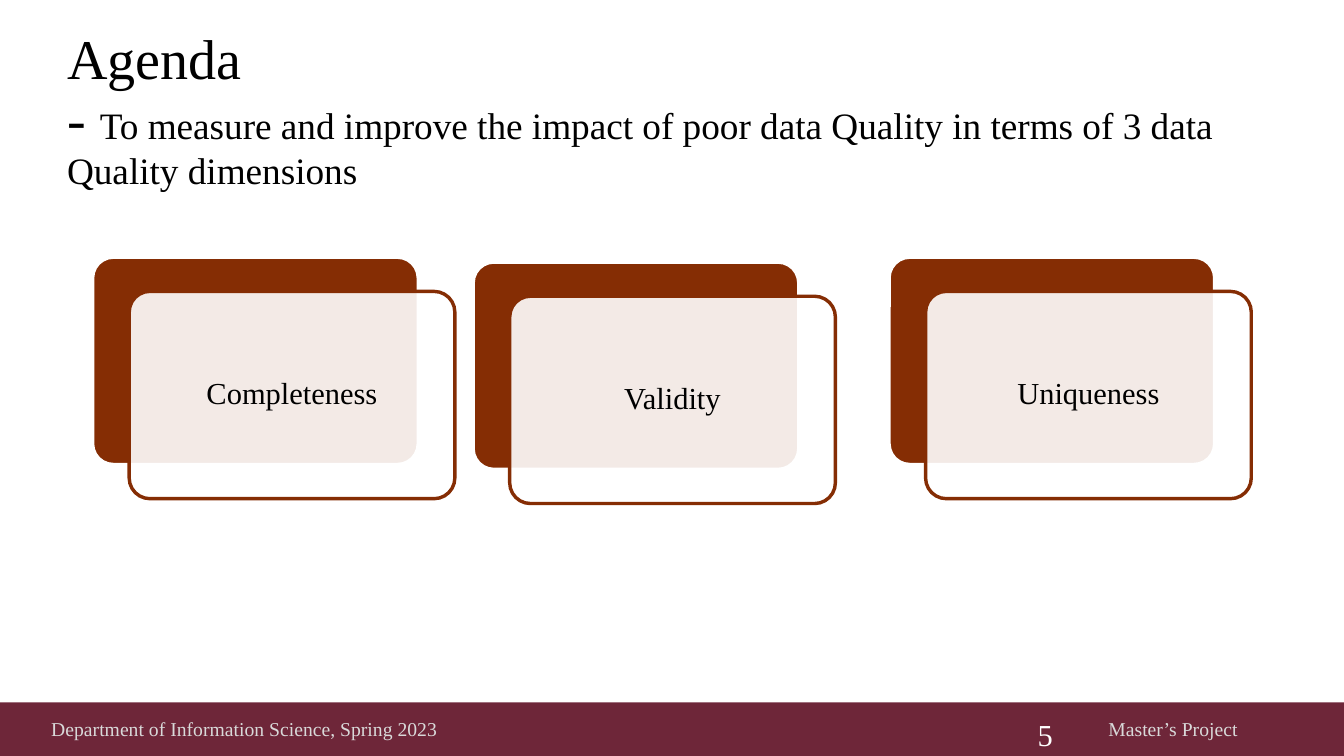
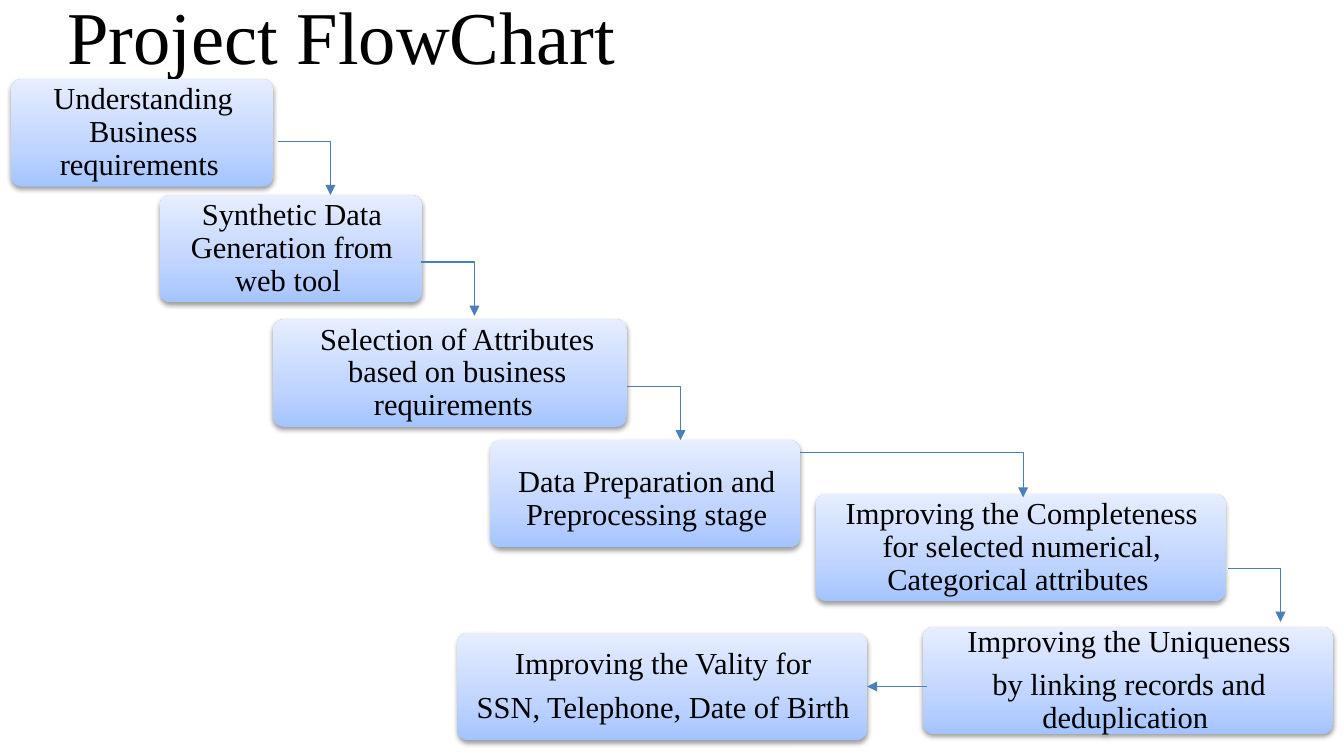
from lxml import etree
from pptx import Presentation
from pptx.dml.color import RGBColor
from pptx.enum.shapes import MSO_CONNECTOR, MSO_SHAPE
from pptx.enum.text import MSO_ANCHOR, PP_ALIGN
from pptx.oxml.ns import qn
from pptx.util import Inches, Pt

ELBOW, STRAIGHT = MSO_CONNECTOR.ELBOW, MSO_CONNECTOR.STRAIGHT
RECTANGLE, ROUNDED = MSO_SHAPE.RECTANGLE, MSO_SHAPE.ROUNDED_RECTANGLE
MIDDLE, TOP = MSO_ANCHOR.MIDDLE, MSO_ANCHOR.TOP
CENTER = PP_ALIGN.CENTER

FONT = "Times New Roman"
COLORS = {
    "white": "FFFFFF",
    "text": "000000",
    "band": "6E2639",
    "footer": "D9D9D9",
    "card": "852D04",
    "arrow": "4B7EBC",
    "shadow": "000000",
    "step bottom": "A4C4FF",
    "step middle": "BFD4FF",
    "step top": "E6EEFF",
}
STEP_STOPS = [(0, "step bottom"), (35, "step middle"), (100, "step top")]
SLIDE_WIDTH, SLIDE_HEIGHT = 11.02, 6.2
BAND_TOP, BAND_HEIGHT = 5.76, 0.44
CARD_WIDTH, CARD_HEIGHT = 2.67, 1.7
CARD_SHIFT_X, CARD_SHIFT_Y = 0.3, 0.28
STEP_HEIGHT = 0.88
STEP_INSETS = (0.1, 0.07, 0.08, 0.07)

CARDS = [("Completeness", 0.76, 2.11), ("Validity", 3.88, 2.15), ("Uniqueness", 7.29, 2.11)]

# Lines, left, top, width, text insets
STEPS = [
    (["Understanding Business requirements "], 0.09, 0.65, 2.15, STEP_INSETS),
    (["Synthetic Data Generation from web tool "], 1.31, 1.6, 2.15, STEP_INSETS),
    (["Selection of Attributes based on business requirements "],
     2.24, 2.62, 2.9, (0.18, 0.07, 0.06, 0.07)),
    (["Data Preparation and Preprocessing stage"],
     4.02, 3.61, 2.54, (0.1, 0.15, 0.07, 0.07)),
    (["Improving the Completeness for selected numerical, Categorical attributes "],
     6.69, 4.05, 3.36, STEP_INSETS),
    (["Improving the Uniqueness", "by linking records and deduplication "],
     7.57, 5.14, 3.36, STEP_INSETS),
    (["Improving the Vality for", "SSN, Telephone, Date of Birth"],
     3.75, 5.19, 3.36, STEP_INSETS),
]

# Kind, start, end
ARROWS = [
    (ELBOW, (2.28, 1.16), (2.71, 1.6)),
    (ELBOW, (3.45, 2.15), (3.89, 2.59)),
    (ELBOW, (5.14, 3.17), (5.58, 3.61)),
    (ELBOW, (6.56, 3.71), (8.39, 4.08)),
    (ELBOW, (10.07, 4.66), (10.5, 5.1)),
    (STRAIGHT, (7.6, 5.63), (7.11, 5.63)),
]


def rgb(name):
    return RGBColor.from_string(COLORS[name])


def add_xml(parent, tag, **attributes):
    values = {key: str(value) for key, value in attributes.items()}
    return etree.SubElement(parent, qn(tag), values)


def set_font(target, size, color="text"):
    target.font.name = FONT
    target.font.size = Pt(size)
    target.font.color.rgb = rgb(color)


def set_frame(shape, anchor, insets):
    """Wrap the text; insets run left, top, right, bottom."""
    frame = shape.text_frame
    frame.word_wrap = True
    frame.vertical_anchor = anchor
    frame.margin_left, frame.margin_top, frame.margin_right, frame.margin_bottom = map(
        Inches, insets)
    return frame


def add_box(slide, kind, left, top, width, height, fill=None, line=None):
    box = slide.shapes.add_shape(
        kind, Inches(left), Inches(top), Inches(width), Inches(height))
    box.shadow.inherit = False
    if kind == ROUNDED:
        box.adjustments[0] = 0.1
    if fill:
        box.fill.solid()
        box.fill.fore_color.rgb = rgb(fill)
    if line:
        box.line.color.rgb = rgb(line)
        box.line.width = Pt(2)
    else:
        box.line.fill.background()
    return box


def add_text(slide, left, top, width, height, anchor=TOP, insets=(0.1, 0.05, 0.1, 0.05)):
    """Add an empty text box and return its first paragraph."""
    box = slide.shapes.add_textbox(
        Inches(left), Inches(top), Inches(width), Inches(height))
    return set_frame(box, anchor, insets).paragraphs[0]


def add_title(slide, top, height, size, title, subtitle=None):
    para = add_text(slide, 0.55, top, 9.92, height, MIDDLE, (0, 0, 0, 0))
    para.line_spacing = 0.9
    set_font(para.add_run(), size)
    para.runs[0].text = title
    if subtitle:
        para.add_line_break()
        for text, span_size in (("- ", size), (subtitle, 22)):
            span = para.add_run()
            span.text = text
            set_font(span, span_size)


def write_centered(box, lines, insets):
    frame = set_frame(box, MIDDLE, insets)
    frame.text = "\n".join(lines)
    for para in frame.paragraphs:
        para.alignment = CENTER
        para.line_spacing = 0.9
        para.space_after = Pt(6.3)
        set_font(para, 18)


def add_footer(slide, number):
    band = add_box(slide, RECTANGLE, 0, BAND_TOP, SLIDE_WIDTH, BAND_HEIGHT, "band")
    para = set_frame(band, MIDDLE, (0.42, 0.05, 0.1, 0.05)).paragraphs[0]
    para.text = "Department of Information Science, Spring 2023"
    para.alignment = PP_ALIGN.LEFT
    set_font(para, 11.6, "footer")
    para = add_text(slide, 8.99, BAND_TOP, 1.9, BAND_HEIGHT, MIDDLE)
    para.text = "Master’s Project"
    set_font(para, 11.6, "footer")
    para = add_text(slide, 8.41, 5.82, 0.5, 0.33)
    para.text = number
    set_font(para, 18, "white")


def add_card(slide, label, left, top):
    """Add a solid card with a translucent labelled card shifted over it."""
    add_box(slide, ROUNDED, left, top, CARD_WIDTH, CARD_HEIGHT, "card", "white")
    front = add_box(slide, ROUNDED, left + CARD_SHIFT_X, top + CARD_SHIFT_Y,
                    CARD_WIDTH, CARD_HEIGHT, "white", "card")
    color = front.fill._xPr.find(qn("a:solidFill"))[0]
    add_xml(color, "a:alpha", val=90000)
    write_centered(front, [label], (0.1, 0.07, 0.1, 0.07))


def add_step(slide, lines, left, top, width, insets):
    box = add_box(slide, ROUNDED, left, top, width, STEP_HEIGHT)
    box.fill.gradient()
    box.fill.gradient_angle = 90
    properties = box._element.spPr
    stops = properties.find(".//" + qn("a:gsLst"))
    for old_stop in list(stops):
        stops.remove(old_stop)
    for position, name in STEP_STOPS:
        stop = add_xml(stops, "a:gs", pos=position * 1000)
        add_xml(stop, "a:srgbClr", val=COLORS[name])
    shadow = add_xml(properties.find(qn("a:effectLst")), "a:outerShdw",
                     blurRad=Pt(3.1), dist=Pt(1.6), dir=5400000, rotWithShape=0)
    color = add_xml(shadow, "a:srgbClr", val=COLORS["shadow"])
    add_xml(color, "a:alpha", val=38000)
    write_centered(box, lines, insets)


def add_arrow(slide, kind, start, end):
    arrow = slide.shapes.add_connector(kind, *map(Inches, start + end))
    arrow.line.color.rgb = rgb("arrow")
    arrow.line.width = Pt(0.75)
    properties = arrow._element.spPr
    if kind == ELBOW:
        properties.find(qn("a:prstGeom")).set("prst", "bentConnector2")
    add_xml(properties.find(qn("a:ln")), "a:tailEnd", type="triangle")
    add_xml(properties, "a:effectLst")


def build_agenda(slide):
    add_footer(slide, "5")
    add_title(slide, 0.25, 1.33, 33.1, "Agenda ",
              "To measure and improve the impact of poor data Quality "
              "in terms of 3 data Quality dimensions")
    for card in CARDS:
        add_card(slide, *card)


def build_flowchart(slide):
    add_title(slide, -0.19, 1.04, 44, "Project FlowChart")
    for step in STEPS:
        add_step(slide, *step)
    for arrow in ARROWS:
        add_arrow(slide, *arrow)


def main():
    deck = Presentation()
    deck.slide_width, deck.slide_height = Inches(SLIDE_WIDTH), Inches(SLIDE_HEIGHT)
    for build in (build_agenda, build_flowchart):
        build(deck.slides.add_slide(deck.slide_layouts[6]))
    deck.save("out.pptx")


if __name__ == "__main__":
    main()
